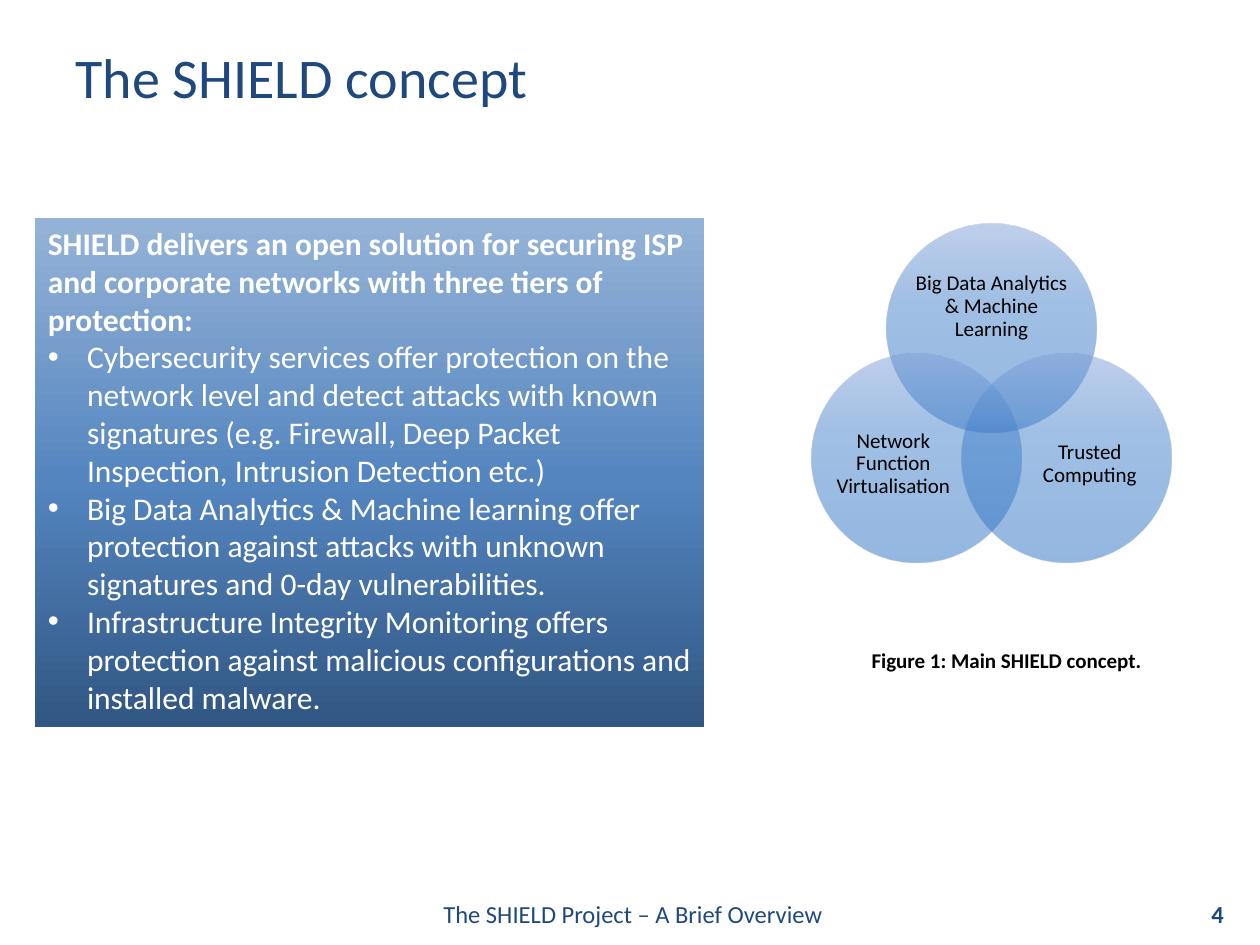
"""Build the SHIELD concept slide: three tiers of protection beside a Venn diagram."""
from math import cos, radians, sin

from lxml import etree
from pptx import Presentation
from pptx.dml.color import RGBColor
from pptx.enum.shapes import MSO_SHAPE
from pptx.enum.text import MSO_ANCHOR, MSO_AUTO_SIZE, PP_ALIGN
from pptx.oxml.ns import qn
from pptx.util import Cm, Pt

LEFT, CENTER, RIGHT = PP_ALIGN.LEFT, PP_ALIGN.CENTER, PP_ALIGN.RIGHT
TOP, MIDDLE, BOTTOM = MSO_ANCHOR.TOP, MSO_ANCHOR.MIDDLE, MSO_ANCHOR.BOTTOM
OVAL, NO_AUTOFIT = MSO_SHAPE.OVAL, MSO_AUTO_SIZE.NONE

FONT = "Calibri"
COLORS = {"navy": "1F497D", "white": "FFFFFF", "black": "000000"}
PANEL_STOPS = [(0, "315683"), (48, "5485BF"), (100, "95B3D7")]
CIRCLE_STOPS = [(0, "296FC4"), (62, "4180CB"), (100, "80A2D9")]

TITLE = "The SHIELD concept"
INTRO = ("SHIELD delivers an open solution for securing ISP and corporate "
         "networks with three tiers of protection:")
TIERS = [
    "Cybersecurity services offer protection on the network level and detect attacks "
    "with known signatures (e.g. Firewall, Deep Packet Inspection, Intrusion Detection etc.)",
    "Big Data Analytics & Machine learning offer protection against attacks with "
    "unknown signatures and 0-day vulnerabilities.",
    "Infrastructure Integrity Monitoring offers protection against malicious "
    "configurations and installed malware.",
]
TECHNOLOGIES = [
    ("Big Data Analytics & Machine Learning", (18.44, 5.23, 3.1, 1.9)),
    ("Trusted Computing", (20.7, 8.2, 2.54, 2.31)),
    ("Network Function Virtualisation", (16.74, 8.2, 2.54, 2.31)),
]
CAPTIONS = [
    ("The SHIELD Project – A Brief Overview", (8.69, 17.91, 13.82, 1.02), 14, "navy", False, LEFT, MIDDLE),
    ("4", (22.68, 17.88, 2.24, 1.07), 14, "navy", True, RIGHT, MIDDLE),
    ("Figure 1: Main SHIELD concept.", (17.32, 12.93, 6.6, 0.76), 12, "black", True, LEFT, TOP),
]
VENN_X, VENN_Y, VENN_RADIUS, CIRCLE_SIZE = 19.99, 8.36, 1.75, 4.22
BULLET_INDENT = Cm(0.79)


def place(shape, box):
    shape.left, shape.top, shape.width, shape.height = map(Cm, box)


def style(paragraph, size, color, bold=False, align=LEFT):
    paragraph.alignment = align
    font = paragraph.font
    font.name, font.size, font.bold = FONT, Pt(size), bold
    font.color.rgb = RGBColor.from_string(COLORS[color])


def fill_upward(shape, stops, opacity=100):
    shape.fill.gradient()
    shape.fill.gradient_angle = 90
    stop_list = next(shape.element.iter(qn("a:gsLst")))
    for old_stop in list(stop_list):
        stop_list.remove(old_stop)
    for position, color in stops:
        stop = etree.SubElement(stop_list, qn("a:gs"), pos=str(position * 1000))
        shade = etree.SubElement(stop, qn("a:srgbClr"), val=color)
        if opacity < 100:
            etree.SubElement(shade, qn("a:alpha"), val=str(opacity * 1000))


def set_bullet(paragraph, char=None):
    properties = paragraph._p.get_or_add_pPr()
    indent = BULLET_INDENT if char else 0
    properties.set("marL", str(indent))
    properties.set("indent", str(-indent))
    if char:
        etree.SubElement(properties, qn("a:buFont"), typeface="Arial")
        etree.SubElement(properties, qn("a:buChar"), char=char)
    else:
        etree.SubElement(properties, qn("a:buNone"))


def add_label(shapes, text, box, size, color, bold, align, anchor):
    label = shapes.add_textbox(*map(Cm, box))
    frame = label.text_frame
    frame.word_wrap, frame.vertical_anchor = True, anchor
    frame.text = text
    style(frame.paragraphs[0], size, color, bold, align)
    return frame


def add_title(slide):
    title = slide.shapes.title
    place(title, (1.27, 0, 22.86, 2.34))
    frame = title.text_frame
    frame.text, frame.vertical_anchor, frame.auto_size = TITLE, BOTTOM, NO_AUTOFIT
    style(frame.paragraphs[0], 32, "navy")


def add_tiers(slide):
    panel = slide.placeholders[1]
    place(panel, (0.71, 4.39, 13.49, 10.26))
    fill_upward(panel, PANEL_STOPS)
    frame = panel.text_frame
    frame.text = "\n".join([INTRO, *TIERS])
    frame.vertical_anchor, frame.auto_size = TOP, NO_AUTOFIT
    for index, paragraph in enumerate(frame.paragraphs):
        paragraph.space_before = Pt(0)
        set_bullet(paragraph, "•" if index else None)
        style(paragraph, 18, "white", bold=index == 0)


def add_venn(slide):
    venn = slide.shapes.add_group_shape().shapes
    for index, (technology, label_box) in enumerate(TECHNOLOGIES):
        angle = radians(index * 360 / len(TECHNOLOGIES) - 90)
        left = VENN_X + VENN_RADIUS * cos(angle) - CIRCLE_SIZE / 2
        top = VENN_Y + VENN_RADIUS * sin(angle) - CIRCLE_SIZE / 2
        circle = venn.add_shape(OVAL, *map(Cm, (left, top, CIRCLE_SIZE, CIRCLE_SIZE)))
        circle.shadow.inherit = False
        circle.line.fill.background()
        fill_upward(circle, CIRCLE_STOPS, opacity=50)
        frame = add_label(venn, technology, label_box, 12, "black", False, CENTER, MIDDLE)
        frame.margin_left = frame.margin_right = frame.margin_top = frame.margin_bottom = 0
        frame.paragraphs[0].line_spacing = 0.9
        frame.paragraphs[0].space_after = Pt(4.2)


def main():
    deck = Presentation()
    deck.slide_width, deck.slide_height = Cm(25.4), Cm(19.05)
    slide = deck.slides.add_slide(deck.slide_layouts[1])
    add_title(slide)
    add_tiers(slide)
    add_venn(slide)
    for caption in CAPTIONS:
        add_label(slide.shapes, *caption)
    deck.save("out.pptx")


if __name__ == "__main__":
    main()
